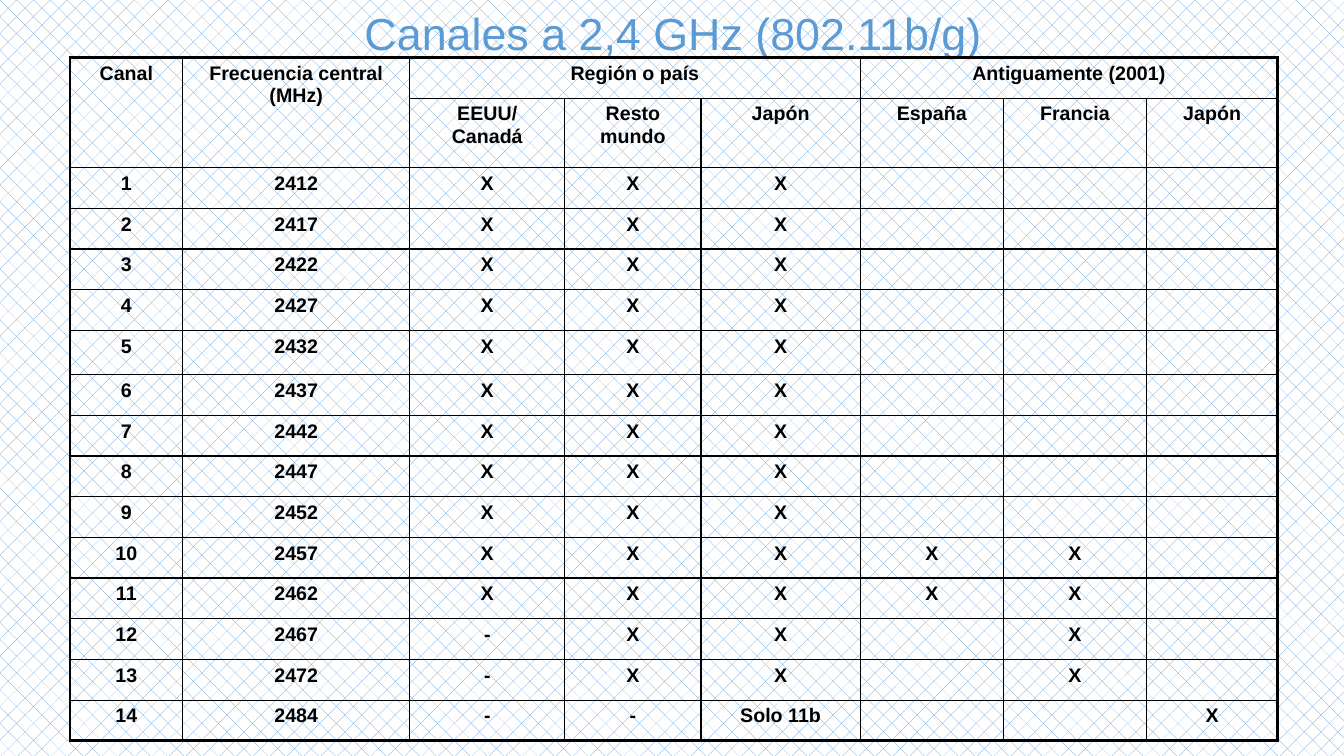
from lxml import etree
from pptx import Presentation, util as u
from pptx.dml.color import RGBColor
from pptx.enum import dml, text
from pptx.oxml import ns


def tint(code):
    return RGBColor.from_string(code)


def edge(props, side, width):
    line = etree.SubElement(props, ns.qn("a:ln" + side), w=str(u.Pt(width)))
    fill = etree.SubElement(line, ns.qn("a:solidFill"))
    etree.SubElement(fill, ns.qn("a:srgbClr"), val="000000")


deck = Presentation()
deck.slide_width, deck.slide_height = u.Inches(13.33), u.Inches(7.5)
wide, high = deck.slide_width, deck.slide_height
slide = deck.slides.add_slide(deck.slide_layouts[5])

back = slide.background.fill
back.patterned()
back.pattern = dml.MSO_PATTERN.DOTTED_DIAMOND
back.fore_color.rgb = tint("5B9BD5")
back.back_color.rgb = tint("FFFFFF")

title = slide.shapes.title
title.left, title.top = int(wide * 0.261), 0
title.width, title.height = int(wide * 0.48), int(high * 0.085)
frame = title.text_frame
frame.text = "Canales a 2,4 GHz (802.11b/g)"
frame.word_wrap = False
frame.auto_size = text.MSO_AUTO_SIZE.SHAPE_TO_FIT_TEXT
frame.vertical_anchor = text.MSO_ANCHOR.MIDDLE
frame.paragraphs[0].alignment = text.PP_ALIGN.CENTER
font = frame.paragraphs[0].runs[0].font
font.name, font.size = "Arial", u.Pt(32)
font.color.rgb = tint("5B9BD5")

rows = [
    ["Canal", "Frecuencia central (MHz)", "Región o país", "", "", "Antiguamente (2001)", "", ""],
    ["", "", "EEUU/ Canadá", "Resto mundo", "Japón", "España", "Francia", "Japón"],
]
marks = [["X", "X", "X", "", "", ""]] * 9
marks += [["X", "X", "X", "X", "X", ""]] * 2
marks += [["-", "X", "X", "", "X", ""]] * 2
marks += [["-", "-", "Solo 11b", "", "", "X"]]
for num, signs in enumerate(marks, 1):
    freq = 2484 if num == 14 else 2407 + 5 * num
    rows.append([str(num), str(freq)] + signs)

cols = [1.12, 2.25, 1.54, 1.35, 1.58, 1.42, 1.42, 1.3]
tall = {1: 0.69, 6: 0.44}
total = 6.78
step = (total - sum(tall.values())) / (len(rows) - len(tall))
grid = slide.shapes.add_table(
    len(rows), len(cols), int(wide * 0.052), int(high * 0.076),
    u.Inches(sum(cols)), u.Inches(total)).table
grid.first_row = grid.horz_banding = False
for col, size in zip(grid.columns, cols):
    col.width = u.Inches(size)

for r, row in enumerate(rows):
    grid.rows[r].height = u.Inches(tall.get(r, step))
    for c, word in enumerate(row):
        cell = grid.cell(r, c)
        props = cell._tc.get_or_add_tcPr()
        outer = {"L": c == 0, "R": c == len(cols) - 1, "T": r == 0, "B": r == len(rows) - 1}
        for side, thick in outer.items():
            edge(props, side, 2.25 if thick else 1)
        cell.fill.background()
        if word:
            cell.text_frame.text = word
            para = cell.text_frame.paragraphs[0]
            para.alignment = text.PP_ALIGN.CENTER
            font = para.runs[0].font
            font.name, font.size, font.bold = "Arial", u.Pt(14), True
            font.color.rgb = tint("000000")

for top, left, low, right in [(0, 0, 1, 0), (0, 1, 1, 1), (0, 2, 0, 4), (0, 5, 0, 7)]:
    grid.cell(top, left).merge(grid.cell(low, right))
for c in (2, 5):
    if c == 5:
        last = grid.cell(0, c)._tc.tcPr.find(ns.qn("a:lnR"))
        last.set("w", str(u.Pt(2.25)))

deck.save("out.pptx")
